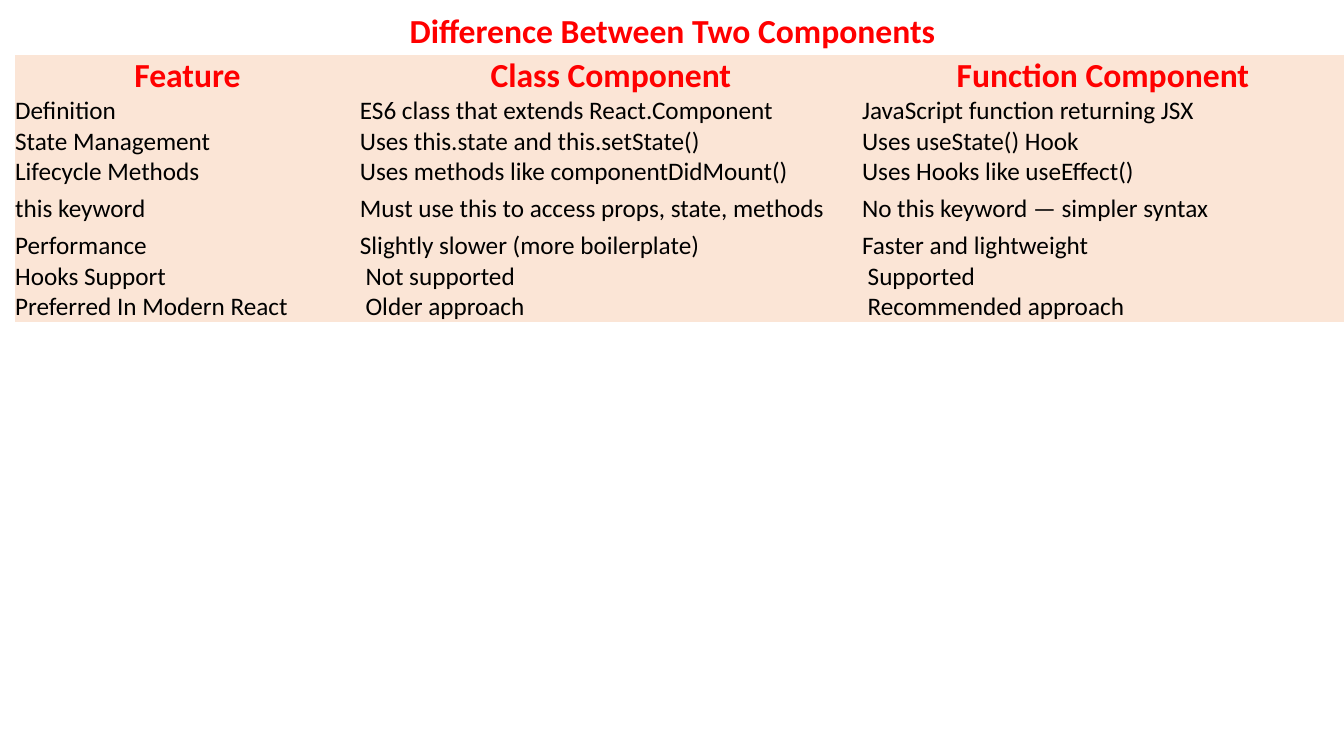
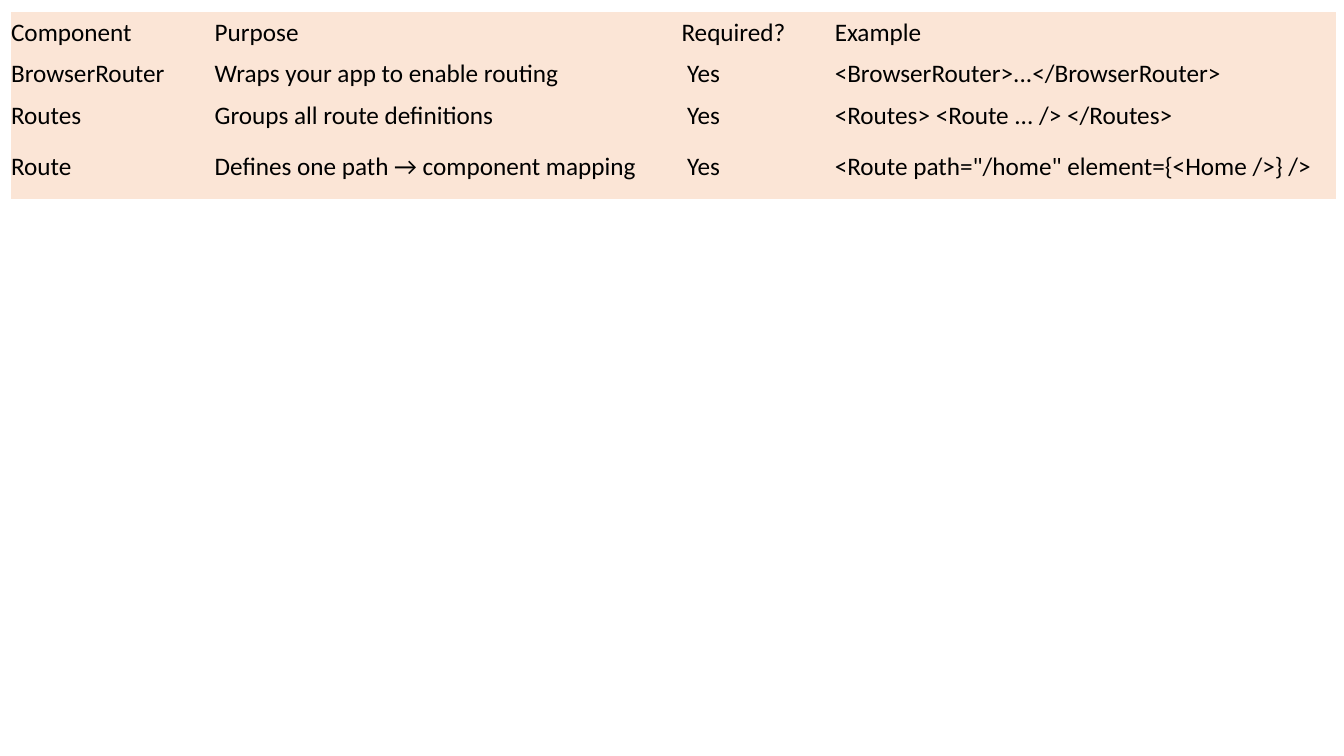
import pptx
import pptx.dml.color
import pptx.enum.text
import pptx.oxml.ns
import pptx.util
from pptx.util import Inches

FONT = "Calibri"
RED = "FF0000"
BLACK = "000000"
PEACH = "FBE5D6"
PLAIN_TABLE_STYLE = "{2D5ABB26-0587-4C30-8999-92F81FD0307C}"
HEADING = {"size": 24, "colour": RED, "bold": True, "centred": True}
BODY = {"size": 18, "colour": BLACK, "bold": False, "centred": False}

COMPONENT_ROWS = [
    ("Feature", "Class Component", "Function Component"),
    ("Definition", "ES6 class that extends React.Component",
     "JavaScript function returning JSX"),
    ("State Management", "Uses this.state and this.setState()",
     "Uses useState() Hook"),
    ("Lifecycle Methods", "Uses methods like componentDidMount()",
     "Uses Hooks like useEffect()"),
    ("this keyword", "Must use this to access props, state, methods",
     "No this keyword — simpler syntax"),
    ("Performance", "Slightly slower (more boilerplate)",
     "Faster and lightweight"),
    ("Hooks Support", " Not supported", " Supported"),
    ("Preferred In Modern React", " Older approach",
     " Recommended approach"),
]

ROUTER_ROWS = [
    ("Component", "Purpose", "Required?", "Example"),
    ("BrowserRouter", "Wraps your app to enable routing", " Yes",
     "<BrowserRouter>...</BrowserRouter>"),
    ("Routes", "Groups all route definitions", " Yes",
     "<Routes> <Route ... /> </Routes>"),
    ("Route", "Defines one path → component mapping", " Yes",
     '<Route path="/home" element={<Home />} />'),
]


def rgb(colour):
    return pptx.dml.color.RGBColor.from_string(colour)


def write(para, text, size, colour, bold, centred):
    align = pptx.enum.text.PP_ALIGN
    para.alignment = align.CENTER if centred else align.LEFT
    span = para.add_run()
    span.text = text
    span.font.name = FONT
    span.font.size = pptx.util.Pt(size)
    span.font.bold = bold
    span.font.color.rgb = rgb(colour)


def add_title(page, left, top, width, height, text):
    box = page.shapes.add_textbox(
        Inches(left), Inches(top), Inches(width), Inches(height))
    frame = box.text_frame
    frame.word_wrap = True
    frame.vertical_anchor = pptx.enum.text.MSO_ANCHOR.MIDDLE
    para = frame.paragraphs[0]
    para.line_spacing = 0.9
    write(para, text, **HEADING)


def fill_cell(cell, text, style):
    cell.margin_left = cell.margin_right = 0
    cell.margin_top = cell.margin_bottom = 0
    cell.vertical_anchor = pptx.enum.text.MSO_ANCHOR.MIDDLE
    cell.fill.solid()
    cell.fill.fore_color.rgb = rgb(PEACH)
    write(cell.text_frame.paragraphs[0], text, **style)


def add_grid(page, left, top, widths, heights, rows, header_style):
    holder = page.shapes.add_table(
        len(rows), len(widths), Inches(left), Inches(top),
        Inches(sum(widths)), Inches(sum(heights)))
    # Plain style: no banding and no borders
    for style_id in holder.element.iter(pptx.oxml.ns.qn("a:tableStyleId")):
        style_id.text = PLAIN_TABLE_STYLE
    table = holder.table
    table.first_row = table.horz_banding = False
    for column, width in zip(table.columns, widths):
        column.width = Inches(width)
    for row, height in zip(table.rows, heights):
        row.height = Inches(height)
    for r, texts in enumerate(rows):
        for c, text in enumerate(texts):
            fill_cell(table.cell(r, c), text, BODY if r else header_style)


def add_components_slide(page):
    add_title(page, 0.92, 0.1, 11.5, 0.45, "Difference Between Two Components")
    heights = [0.33] + [0.3] * 3 + [0.44] + [0.3] * 3
    add_grid(page, 0.15, 0.55, [3.42, 4.98, 4.78], heights,
             COMPONENT_ROWS, HEADING)


def add_router_slide(page):
    heights = [0.41] * 3 + [0.62]
    add_grid(page, 0.11, 0.12, [2.02, 4.63, 1.52, 4.97], heights,
             ROUTER_ROWS, BODY)


def main():
    deck = pptx.Presentation()
    deck.slide_width = Inches(13.33)
    deck.slide_height = Inches(7.5)
    blank = deck.slide_layouts[6]
    for build in (add_components_slide, add_router_slide):
        build(deck.slides.add_slide(blank))
    deck.save("out.pptx")


if __name__ == "__main__":
    main()
